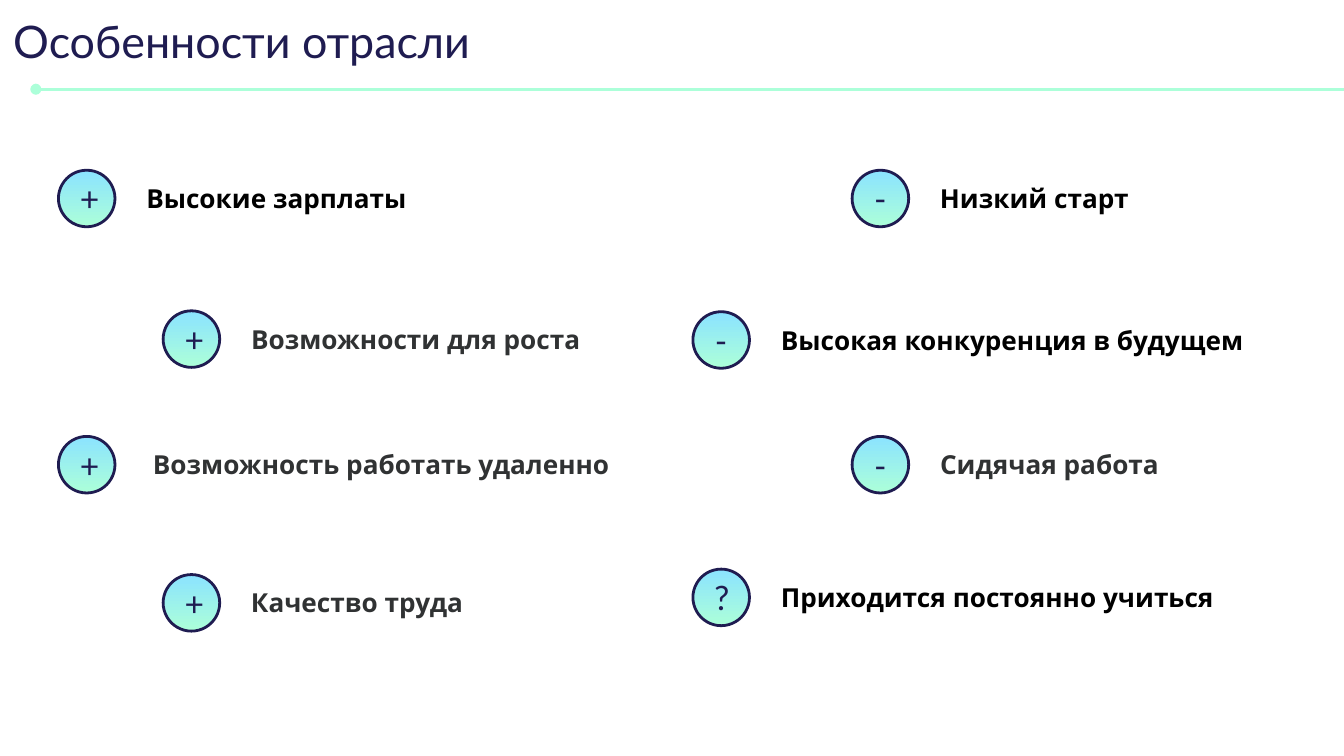
from lxml.etree import SubElement
from pptx import Presentation
from pptx.dml.color import RGBColor
from pptx.enum.shapes import MSO_CONNECTOR as CONN, MSO_SHAPE as SHAPE
from pptx.enum.text import MSO_ANCHOR as ANCHOR, MSO_AUTO_SIZE as FIT, PP_ALIGN as ALIGN
from pptx.oxml.ns import qn
from pptx.util import Pt

NAVY, MINT, SKY, BLACK, GREY = "1F1C51", "ACFFD9", "8BE3FF", "000000", "303233"


def rgb(value):
    return RGBColor.from_string(value)


class Deck:
    mark_font = {"name": "Lato", "size": Pt(18)}
    title_font = {"name": "Lato", "size": Pt(24)}
    label_font = {"name": "Open Sans", "size": Pt(14), "bold": True}
    circle_size = 30.3
    label_dx, label_dy, label_h = 40, 3, 24.2
    line_width = Pt(1.5)

    def __init__(self, prs):
        self.s = prs.slides.add_slide(prs.slide_layouts[6])

    def put_text(self, sp, text, font, color, insets, **frame):
        tf = sp.text_frame
        left, top, right, bottom = insets
        frame = {"word_wrap": True, "margin_left": Pt(left), "margin_top": Pt(top),
                 "margin_right": Pt(right), "margin_bottom": Pt(bottom), **frame}
        for key, value in frame.items():
            setattr(tf, key, value)
        p = tf.paragraphs[0]
        r = p.add_run()
        r.text = text
        for key, value in font.items():
            setattr(r.font, key, value)
        r.font.color.rgb = rgb(color)
        return p

    def title(self, text):
        sp = self.s.shapes.add_textbox(0, 0, Pt(479), Pt(42.5))
        self.put_text(sp, text, self.title_font, NAVY, (7.2,) * 4)

    def rule(self, x1, x2, y):
        sp = self.s.shapes.add_connector(CONN.STRAIGHT, Pt(x1), Pt(y), Pt(x2), Pt(y))
        sp.line.color.rgb = rgb(MINT)
        sp.line.width = self.line_width
        props = sp.element.spPr
        SubElement(props.find(qn("a:ln")), qn("a:headEnd"), type="oval")
        SubElement(props, qn("a:effectLst"))

    def circle(self, group, mark, x, y):
        size = Pt(self.circle_size)
        sp = group.shapes.add_shape(SHAPE.OVAL, Pt(x), Pt(y), size, size)
        sp.shadow.inherit = False
        sp.fill.gradient()
        sp.fill.gradient_angle = 270
        for stop, position, color in zip(sp.fill.gradient_stops, (0, 1), (SKY, MINT)):
            stop.position = position
            stop.color.rgb = rgb(color)
        sp.line.color.rgb = rgb(NAVY)
        sp.line.width = self.line_width
        p = self.put_text(sp, mark, self.mark_font, NAVY, (7.2,) * 4,
                          vertical_anchor=ANCHOR.MIDDLE)
        p.alignment = ALIGN.CENTER

    def label(self, group, text, x, y, width, color, indent):
        sp = group.shapes.add_textbox(Pt(x), Pt(y), Pt(width), Pt(self.label_h))
        self.put_text(sp, text, self.label_font, color, (7.2 + indent, 3.6, 7.2, 3.6),
                      auto_size=FIT.SHAPE_TO_FIT_TEXT)

    def item(self, mark, text, x, y, width, color, indent=0):
        group = self.s.shapes.add_group_shape()
        self.circle(group, mark, x, y)
        self.label(group, text, x + self.label_dx, y + self.label_dy, width, color, indent)


def main():
    prs = Presentation()
    prs.slide_width, prs.slide_height = Pt(720), Pt(405)
    deck = Deck(prs)
    deck.rule(19.2, 727.2, 47.8)
    deck.title("Особенности отрасли")

    plus_outer, plus_inner, minus_inner, minus_outer = 31.3, 87.4, 371.2, 456.5
    items = [
        ("+", "Высокие зарплаты", plus_outer, 91.2, 155, BLACK),
        ("+", "Возможности для роста", plus_inner, 166.5, 192, GREY),
        ("-", "Низкий старт", minus_outer, 91.2, 117, BLACK),
        ("-", "Высокая конкуренция в будущем", minus_inner, 167, 264, BLACK),
        ("+", "Возможность работать удаленно", plus_outer, 233.8, 265, GREY, 3.4),
        ("?", "Приходится постоянно учиться", minus_inner, 304.9, 248, BLACK),
        ("+", "Качество труда", plus_inner, 307.8, 130, GREY),
        ("-", "Сидячая работа", minus_outer, 233.8, 132, GREY),
    ]
    for item in items:
        deck.item(*item)
    prs.save("out.pptx")


if __name__ == "__main__":
    main()
